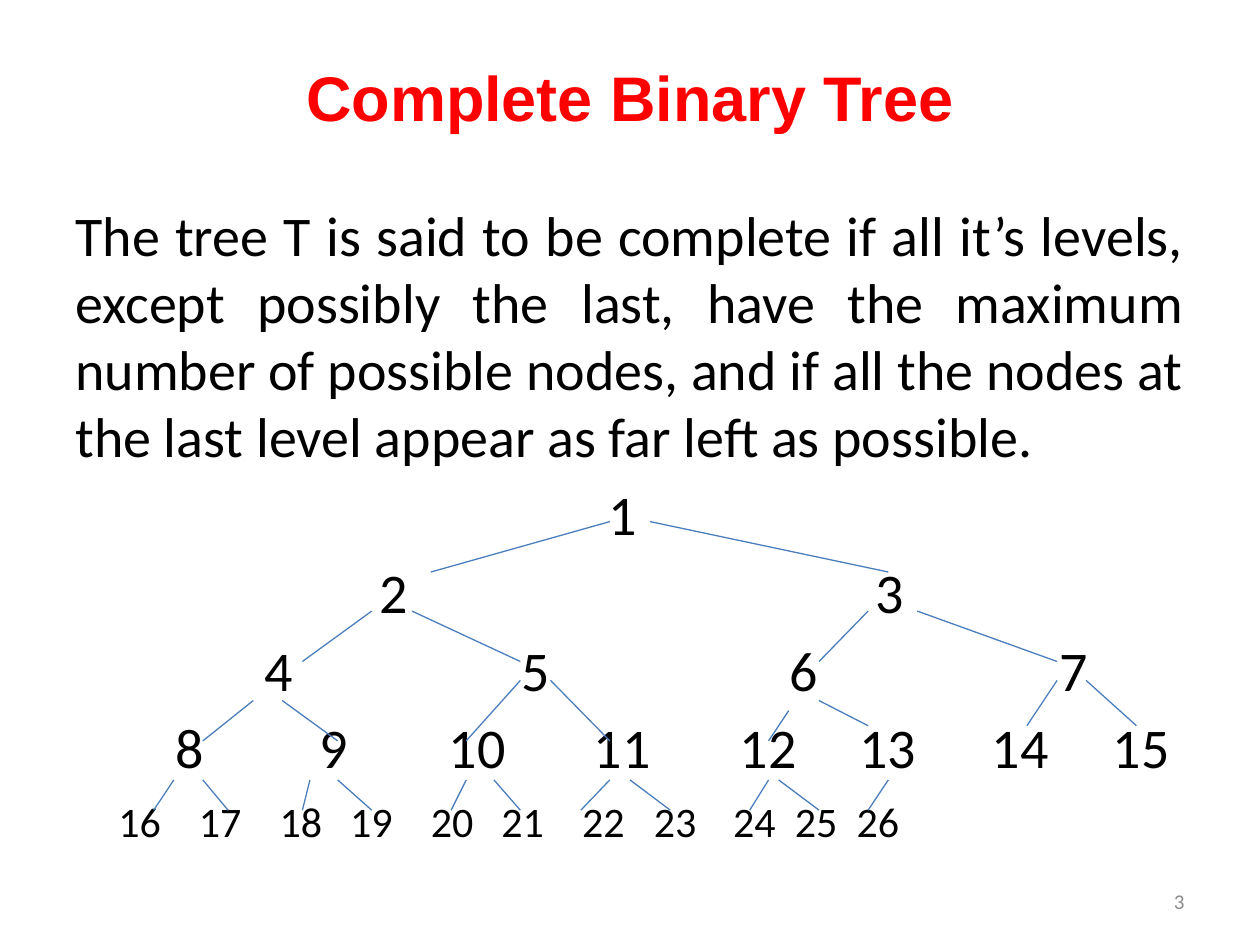
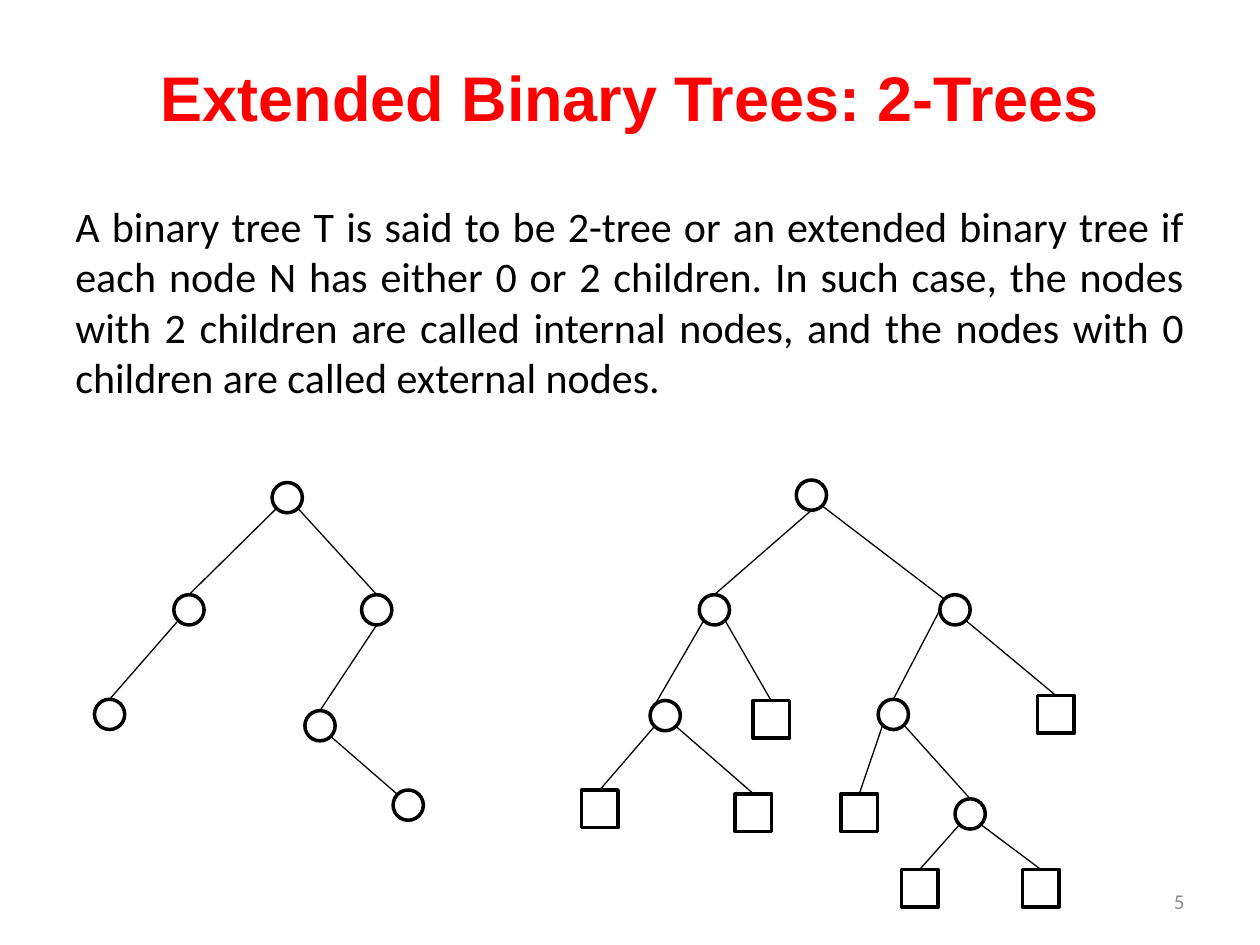
import pptx
import pptx.util
import pptx.dml.color
import pptx.enum.shapes
import pptx.enum.text
import pptx.oxml.ns
from dataclasses import dataclass
from lxml import etree

Inches, Pt = pptx.util.Inches, pptx.util.Pt
RGB = pptx.dml.color.RGBColor.from_string
ALIGN = pptx.enum.text.PP_ALIGN
ANCHOR = pptx.enum.text.MSO_ANCHOR
SHAPE = pptx.enum.shapes.MSO_SHAPE
qn = pptx.oxml.ns.qn


@dataclass(frozen=True)
class Theme:
    title_color: str = "FF0000"
    ink: str = "000000"
    paper: str = "FFFFFF"
    number_color: str = "8C8C8C"
    branch_color: str = "4B7EBC"
    title_font: str = "Arial"
    body_font: str = "Calibri"
    title_size: int = 36
    large_size: int = 32
    text_size: int = 24
    number_size: int = 12
    branch_width: float = 0.75
    outline_width: float = 2
    margin: float = 0.5
    inset: float = 0.1
    content_width: float = 9


@dataclass(frozen=True)
class Node:
    center_x: float
    top: float
    external: bool = False

    @property
    def size(self):
        return (0.29, 0.3) if self.external else (0.24, 0.24)

    def site(self, name):
        """Return the point of the outline that an edge touches."""
        width, height = self.size
        diagonal = 0.35  # share of the diameter from centre to a diagonal point
        dx, dy = {
            "top": (0, -0.5), "bottom": (0, 0.5), "left": (-0.5, 0),
            "top left": (-diagonal, -diagonal),
            "bottom left": (-diagonal, diagonal),
            "bottom right": (diagonal, diagonal),
        }[name]
        return self.center_x + dx * width, self.top + (0.5 + dy) * height


class Deck:
    def __init__(self, theme):
        self.theme = theme
        self.presentation = pptx.Presentation()
        self.presentation.slide_width = Inches(10)
        self.presentation.slide_height = Inches(7.5)
        self.slide = None

    def new_slide(self, title, number):
        theme = self.theme
        self.slide = self.presentation.slides.add_slide(
            self.presentation.slide_layouts[6])
        heading = self.text_frame(theme.margin, 0.3, theme.content_width, 0.93,
                                  ANCHOR.MIDDLE)
        self.set_text(heading.paragraphs[0], title, theme.title_size,
                      theme.title_color, ALIGN.CENTER, theme.title_font, True)
        page = self.text_frame(7.17, 6.95, 2.33, 0.4, ANCHOR.MIDDLE)
        self.set_text(page.paragraphs[0], str(number), theme.number_size,
                      theme.number_color, ALIGN.RIGHT)

    def text_frame(self, left, top, width, height, anchor=ANCHOR.TOP):
        box = self.slide.shapes.add_textbox(
            Inches(left), Inches(top), Inches(width), Inches(height))
        box.text_frame.word_wrap = True
        box.text_frame.vertical_anchor = anchor
        return box.text_frame

    def set_text(self, paragraph, text, size, color, align, font=None, bold=False):
        paragraph.text = text
        paragraph.alignment = align
        paragraph.font.name = font or self.theme.body_font
        paragraph.font.size = Pt(size)
        paragraph.font.bold = bold
        paragraph.font.color.rgb = RGB(color)

    def definition(self, text, size, height):
        frame = self.text_frame(self.theme.margin, 1.54,
                                self.theme.content_width, height)
        self.set_text(frame.paragraphs[0], text, size, self.theme.ink,
                      ALIGN.JUSTIFY)
        return frame

    def number_row(self, frame, first, centers, size, space_before):
        """Add consecutive numbers, each on its own centred tab stop."""
        row = frame.add_paragraph()
        row.space_before = Pt(space_before)
        tabs = etree.SubElement(row._p.get_or_add_pPr(), qn("a:tabLst"))
        text_left = self.theme.margin + self.theme.inset
        for center in centers:
            etree.SubElement(tabs, qn("a:tab"), algn="ctr",
                             pos=str(Inches(center - text_left)))
        labels = "".join(f"\t{first + i}" for i in range(len(centers)))
        self.set_text(row, labels, size, self.theme.ink, ALIGN.LEFT)

    def node(self, node):
        width, height = node.size
        outline = self.slide.shapes.add_shape(
            SHAPE.RECTANGLE if node.external else SHAPE.OVAL,
            Inches(node.center_x - width / 2), Inches(node.top),
            Inches(width), Inches(height))
        outline.shadow.inherit = False
        outline.fill.solid()
        outline.fill.fore_color.rgb = RGB(self.theme.paper)
        outline.line.color.rgb = RGB(self.theme.ink)
        outline.line.width = Pt(self.theme.outline_width)

    def branch(self, start, end, color):
        line = self.slide.shapes.add_connector(
            pptx.enum.shapes.MSO_CONNECTOR.STRAIGHT,
            *(Inches(value) for value in (*start, *end)))
        line.line.color.rgb = RGB(color)
        line.line.width = Pt(self.theme.branch_width)
        etree.SubElement(line._element.spPr, qn("a:effectLst"))


# Complete tree: first number of each level and the centres of its numbers
LEVELS = [
    (1, [4.94]),
    (2, [3.13, 7.06]),
    (4, [2.21, 4.25, 6.38, 8.52]),
    (8, [1.51, 2.65, 3.79, 4.94, 6.1, 7.05, 8.1, 9.06]),
    (16, [1.11, 1.75, 2.39, 2.95, 3.59, 4.15, 4.79, 5.36, 5.99, 6.48, 6.97]),
]

# Complete tree: upper y, lower y, and (upper x, lower x) of each branch
BRANCHES = [
    (4.14, 4.54, [(4.84, 3.42), (5.16, 7.05)]),
    (4.85, 5.25, [(2.95, 2.4), (3.27, 4.13), (6.89, 6.5), (7.28, 8.39)]),
    (5.56, 5.88, [(2.01, 1.61), (2.24, 2.68)]),
    (5.4, 5.88, [(4.13, 3.7), (4.37, 4.84)]),
    (5.64, 5.88, [(6.26, 6.1)]),
    (5.56, 5.76, [(6.5, 6.89)]),
    (5.4, 5.76, [(8.39, 8.15), (8.62, 9.02)]),
    (6.19, 6.43, [(1.38, 1.22), (1.61, 1.81), (2.46, 2.4), (2.68, 2.95),
                  (3.7, 3.58), (3.92, 4.13), (4.84, 4.61), (5, 5.32),
                  (6.1, 5.95), (6.18, 6.5), (7.05, 6.89)]),
]

# Binary tree (b) and its extended 2-tree (e); l and r give the way from the root
NODES = {
    "b": Node(2.28, 3.83), "bl": Node(1.5, 4.72), "br": Node(2.99, 4.72),
    "bll": Node(0.87, 5.55), "brl": Node(2.54, 5.64), "brlr": Node(3.24, 6.27),
    "e": Node(6.44, 3.81), "el": Node(5.67, 4.72), "er": Node(7.58, 4.72),
    "ell": Node(5.28, 5.56), "elr": Node(6.12, 5.56, True),
    "erl": Node(7.09, 5.55), "err": Node(8.38, 5.52, True),
    "elll": Node(4.76, 6.27, True), "ellr": Node(5.98, 6.3, True),
    "erll": Node(6.82, 6.3, True), "erlr": Node(7.7, 6.34),
    "erlrl": Node(7.3, 6.9, True), "erlrr": Node(8.26, 6.9, True),
}

# Edges that leave or arrive away from the usual points, by child
LEAVES_AT = {"brl": "bottom", "el": "bottom", "erl": "left"}
ARRIVES_AT = {"brlr": "top left", "er": "top left", "ell": "top left"}


def complete_tree_slide(deck):
    theme = deck.theme
    deck.new_slide("Complete Binary Tree", 3)
    body = deck.definition(
        "The tree T is said to be complete if all it’s levels, except possibly "
        "the last, have the maximum number of possible nodes, and if all the "
        "nodes at the last level appear as far left as possible.",
        theme.large_size, 5.43)
    for first, centers in LEVELS:
        last_level = first == LEVELS[-1][0]
        deck.number_row(body, first, centers,
                        theme.text_size if last_level else theme.large_size,
                        9 if last_level else 6)
    for upper, lower, spans in BRANCHES:
        for upper_x, lower_x in spans:
            deck.branch((upper_x, upper), (lower_x, lower), theme.branch_color)


def extended_tree_slide(deck):
    theme = deck.theme
    deck.new_slide("Extended Binary Trees: 2-Trees", 5)
    deck.definition(
        "A binary tree T is said to be 2-tree or an extended binary tree if each "
        "node N has either 0 or 2 children. In such case, the nodes with 2 "
        "children are called internal nodes, and the nodes with 0 children are "
        "called external nodes.",
        theme.text_size, 5.75)
    for node in NODES.values():
        deck.node(node)
    for way, child in NODES.items():
        parent = NODES.get(way[:-1])
        if parent:
            usual = "bottom left" if way.endswith("l") else "bottom right"
            deck.branch(parent.site(LEAVES_AT.get(way, usual)),
                        child.site(ARRIVES_AT.get(way, "top")), theme.ink)


def main():
    deck = Deck(Theme())
    complete_tree_slide(deck)
    extended_tree_slide(deck)
    deck.presentation.save("out.pptx")


if __name__ == "__main__":
    main()
